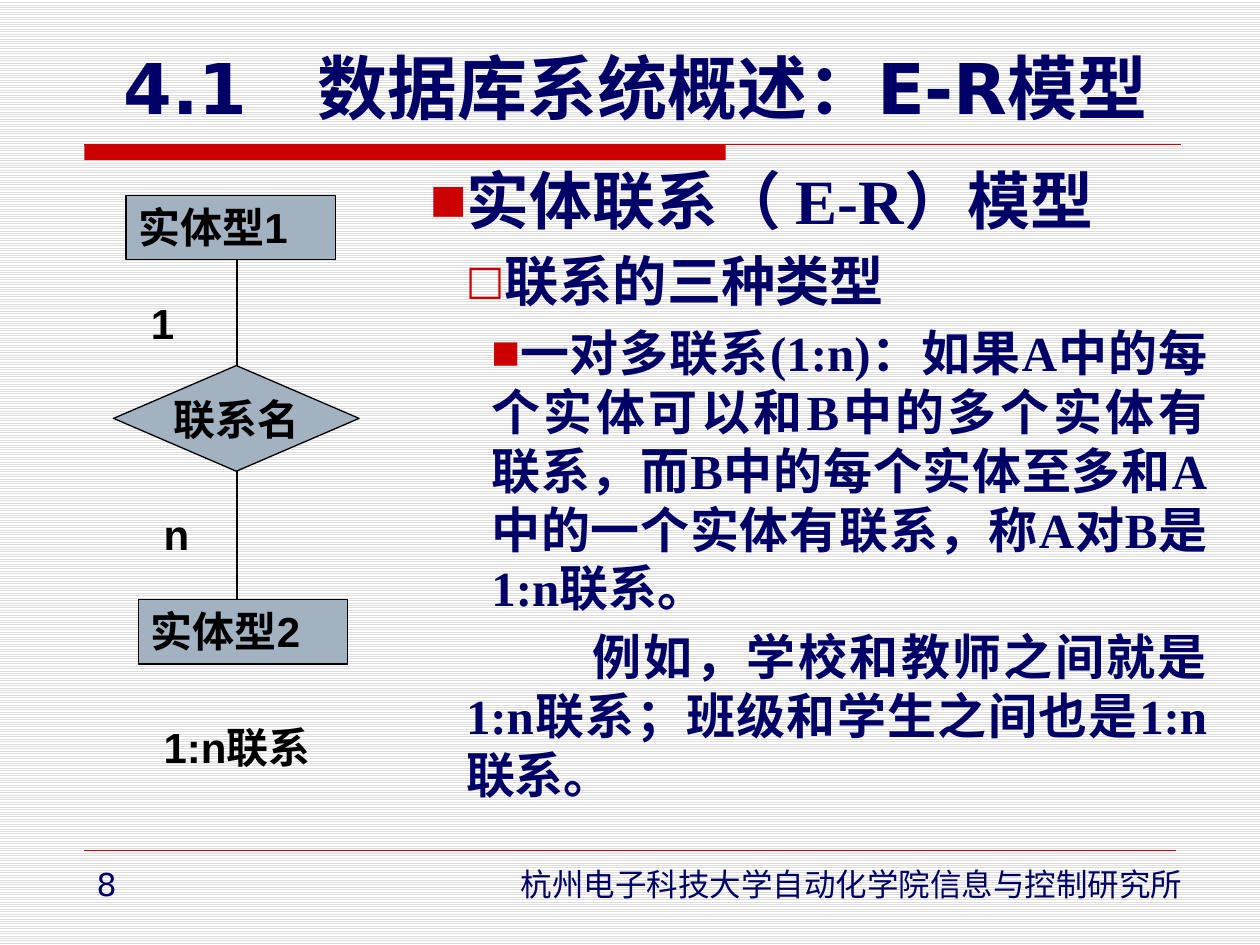
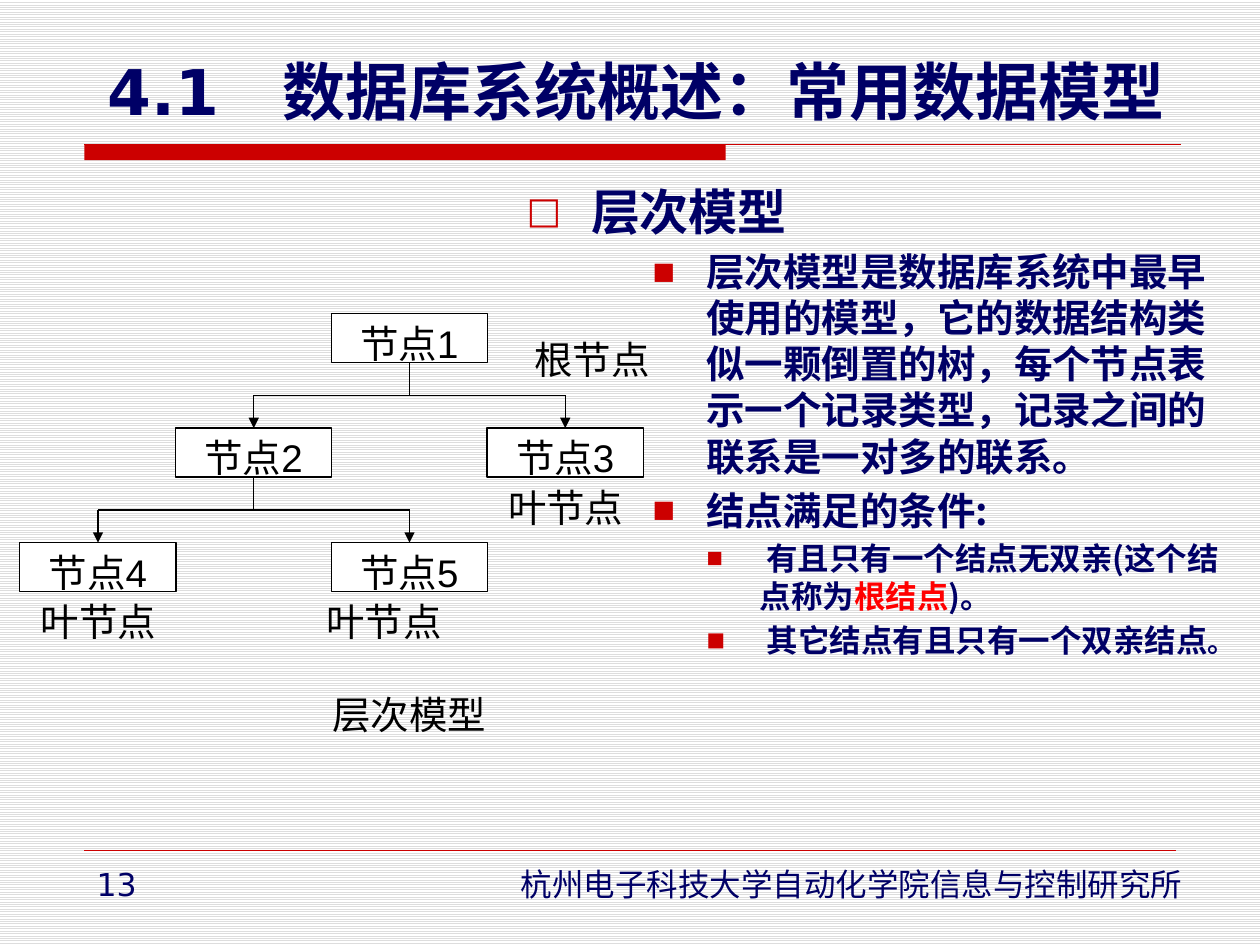
from pptx import Presentation
from pptx.dml.color import RGBColor
from pptx.enum.dml import MSO_PATTERN
from pptx.enum.shapes import MSO_CONNECTOR, MSO_SHAPE
from pptx.enum.text import MSO_ANCHOR, MSO_AUTO_SIZE, PP_ALIGN
from pptx.oxml.ns import qn
from pptx.util import Cm, Pt
from lxml.etree import SubElement

RECT, DIAMOND = MSO_SHAPE.RECTANGLE, MSO_SHAPE.DIAMOND
STRAIGHT = MSO_CONNECTOR.STRAIGHT
LEFT, CENTER, JUST = PP_ALIGN.LEFT, PP_ALIGN.CENTER, PP_ALIGN.JUSTIFY
TOP, MIDDLE, BOTTOM = MSO_ANCHOR.TOP, MSO_ANCHOR.MIDDLE, MSO_ANCHOR.BOTTOM
NO_FIT = MSO_AUTO_SIZE.NONE
STRIPES = MSO_PATTERN.LIGHT_HORIZONTAL

NAVY, RED, HOT = "000066", "CC0000", "FF0000"
BLACK, WHITE, STEEL, GREY = "000000", "FFFFFF", "A3B2C1", "DDDDDD"
HAN, SERIF, SANS, WIDE = "Noto Sans CJK SC", "Times New Roman", "Arial", "DejaVu Sans"

SQUARE, HOLLOW = ("■", 62), ("□", 75)
OWNER = "杭州电子科技大学自动化学院信息与控制研究所"

ER = {
    "title": ("4.1　数据库系统概述：E-R模型", 40),
    "page": "8",
    "frame": (7.9, 3.12, 16.69, 14.6),
    "body": [
        (1, LEFT, 0.51, 0, SQUARE, [
            ("实体联系", 36, HAN, NAVY), ("（ E-R", 36, SERIF, NAVY),
            ("）模型", 36, HAN, NAVY)]),
        (2, JUST, 1.24, 0, HOLLOW, [("联系的三种类型", 31, HAN, NAVY)]),
        (3, JUST, 1.75, 0, SQUARE, [
            ("一对多联系(1:n)：如果A中的每个实体可以和B中的多个实体有联系，"
             "而B中的每个实体至多和A中的一个实体有联系，称A对B是1:n联系。",
             28, SERIF, NAVY)]),
        (2, JUST, 1.24, 2.55, None, [
            ("例如，学校和教师之间就是1:n联系；班级和学生之间也是1:n联系。",
             28, SERIF, NAVY)]),
    ],
}
TREE = {
    "title": ("4.1　数据库系统概述：常用数据模型", 36),
    "page": "13",
    "frame": (10.36, 3.53, 14.96, 12.8),
    "body": [
        (0, LEFT, 1.3, -1.3, HOLLOW, [("层次模型", 28, HAN, NAVY)]),
        (2, LEFT, 3.63, -1.09, SQUARE, [
            ("层次模型是数据库系统中最早使用的模型，它的数据结构类似一颗倒置的树，"
             "每个节点表示一个记录类型，记录之间的联系是一对多的联系。",
             22, HAN, NAVY)]),
        (2, LEFT, 3.63, -1.09, SQUARE, [("结点满足的条件:", 22, HAN, NAVY)]),
        (3, LEFT, 4.7, -1.07, SQUARE, [
            (" ", 16, HAN, NAVY), ("有且只有一个结点无双亲(这个结点称为", 18, HAN, NAVY),
            ("根结点", 18, HAN, HOT), (")。", 18, HAN, NAVY)]),
        (3, LEFT, 4.7, -1.07, SQUARE, [
            (" 其它结点有且只有一个双亲结点", 18, HAN, NAVY), ("。", 16, HAN, NAVY)]),
    ],
}

AXIS = 4.78
PARTS = [
    ("实体型1", RECT, (2.54, 3.94, 4.22, 1.3)),
    ("联系名", DIAMOND, (2.29, 7.37, 4.95, 2.13)),
    ("实体型2", RECT, (2.79, 12.09, 4.22, 1.3)),
]
MARKS = [
    ("1", (2.79, 5.87, 1.24, 1.27)),
    ("n", (3.05, 10.13, 1.24, 1.27)),
    ("1:n联系", (3.05, 14.43, 4.47, 1.27)),
]

NODES = {"节点1": (2, 0), "节点2": (1, 1), "节点3": (3, 1),
         "节点4": (0, 2), "节点5": (2, 2)}
FORKS = [("节点1", "节点2", "节点3"), ("节点2", "节点4", "节点5")]
NODE_W, NODE_H, STEP_X, STEP_Y = 3.15, 0.99, 3.14, 2.31
NOTES = [
    ("根节点", (10.36, 6.65, NODE_W, NODE_H)),
    ("叶节点", (9.83, 9.63, NODE_W, NODE_H)),
    ("叶节点", (0.41, 11.94, NODE_W, NODE_H)),
    ("叶节点", (6.17, 11.94, NODE_W, NODE_H)),
    ("层次模型", (4.06, 13.8, 8.38, NODE_H)),
]


def hue(code):
    return RGBColor.from_string(code)


def write(para, text, size, face, color, bold=False):
    run = para.add_run()
    run.text = text
    font = run.font
    font.size, font.bold, font.name = Pt(size), bold, face
    font.color.rgb = hue(color)
    SubElement(run._r.get_or_add_rPr(), qn("a:ea"), typeface=HAN)


def place(shape, box):
    shape.left, shape.top, shape.width, shape.height = map(Cm, box)


def setup(shape, anchor=TOP, wrap=True):
    frame = shape.text_frame
    frame.word_wrap, frame.auto_size = wrap, NO_FIT
    frame.vertical_anchor = anchor
    return frame.paragraphs[0]


def block(slide, kind, box, fill, edge=None):
    shape = slide.shapes.add_shape(kind, *map(Cm, box))
    shape.shadow.inherit = False
    shape.fill.solid()
    shape.fill.fore_color.rgb = hue(fill)
    if edge:
        shape.line.color.rgb = hue(edge)
        shape.line.width = Pt(0.75)
    else:
        shape.line.fill.background()
    return shape


def label(slide, box, text, size, face=SANS, color=BLACK, bold=False, align=LEFT):
    para = setup(slide.shapes.add_textbox(*map(Cm, box)))
    para.alignment = align
    write(para, text, size, face, color, bold)
    return para


def rule(slide, start, end, color=BLACK, width=0.75, arrow=False):
    line = slide.shapes.add_connector(STRAIGHT, *map(Cm, start + end))
    line.line.color.rgb = hue(color)
    line.line.width = Pt(width)
    props = line._element.spPr
    if arrow:
        SubElement(props.find(qn("a:ln")), qn("a:tailEnd"), type="triangle")
    SubElement(props, qn("a:effectLst"))


def bullet(para, left, first, mark):
    props = para._p.get_or_add_pPr()
    props.set("marL", str(Cm(left)))
    props.set("indent", str(Cm(first)))
    if not mark:
        SubElement(props, qn("a:buNone"))
        return
    char, scale = mark
    tint = SubElement(props, qn("a:buClr"))
    SubElement(tint, qn("a:srgbClr"), val=RED)
    SubElement(props, qn("a:buSzPct"), val=str(scale * 1000))
    SubElement(props, qn("a:buFont"), typeface=WIDE)
    SubElement(props, qn("a:buChar"), char=char)


def base(deck, data):
    slide = deck.slides.add_slide(deck.slide_layouts[1])
    back = slide.background.fill
    back.patterned()
    back.pattern = STRIPES
    back.fore_color.rgb, back.back_color.rgb = hue(GREY), hue(WHITE)

    block(slide, RECT, (1.7, 2.92, 12.93, 0.31), RED)
    rule(slide, (1.7, 2.92), (23.8, 2.92), RED)
    rule(slide, (1.7, 17.15), (23.7, 17.15), RED, 0.25)
    foot = label(slide, (10.11, 17.32, 14.6, 1.02), " ", 18, SERIF, NAVY)
    write(foot, OWNER, 18, HAN, NAVY)
    label(slide, (1.7, 17.32, 1.45, 1.02), data["page"], 18, WIDE, NAVY)

    title, body = slide.placeholders
    place(title, (1.7, 0.71, 22.23, 2.01))
    head = setup(title, BOTTOM)
    head.alignment = CENTER
    text, size = data["title"]
    write(head, text, size, WIDE, NAVY, True)

    place(body, data["frame"])
    para = setup(body)
    for i, (level, align, left, first, mark, runs) in enumerate(data["body"]):
        if i:
            para = body.text_frame.add_paragraph()
        para.level, para.alignment = level, align
        bullet(para, left, first, mark)
        for run in runs:
            write(para, *run, True)
    return slide


def draw_er(slide):
    for text, kind, box in PARTS:
        shape = block(slide, kind, box, STEEL, BLACK)
        gem = kind == DIAMOND
        para = setup(shape, MIDDLE if gem else TOP, not gem)
        para.alignment = CENTER if gem else LEFT
        write(para, text, 24, SANS, BLACK, True)
    boxes = [box for _, _, box in PARTS]
    for upper, lower in zip(boxes, boxes[1:]):
        rule(slide, (AXIS, upper[1] + upper[3]), (AXIS, lower[1]))
    for text, box in MARKS:
        label(slide, box, text, 24, bold=True)


def draw_tree(slide):
    spots = {name: (0.4 + col * STEP_X, 6.32 + row * STEP_Y)
             for name, (col, row) in NODES.items()}
    for name, spot in spots.items():
        para = setup(block(slide, RECT, spot + (NODE_W, NODE_H), WHITE, BLACK))
        para.alignment = CENTER
        write(para, name, 22, SANS, BLACK)
    for top, *kids in FORKS:
        x, y = spots[top]
        x, y = x + NODE_W / 2, y + NODE_H
        mid = y + (STEP_Y - NODE_H) / 2
        ends = [spots[kid][0] + NODE_W / 2 for kid in kids]
        rule(slide, (x, y), (x, mid))
        rule(slide, (ends[0], mid), (ends[-1], mid))
        for end in ends:
            rule(slide, (end, mid), (end, y + STEP_Y - NODE_H), arrow=True)
    for text, box in NOTES:
        label(slide, box, text, 22, align=CENTER)


def main():
    deck = Presentation()
    deck.slide_width, deck.slide_height = Cm(25.4), Cm(19.05)
    draw_er(base(deck, ER))
    draw_tree(base(deck, TREE))
    deck.save("out.pptx")


if __name__ == "__main__":
    main()
